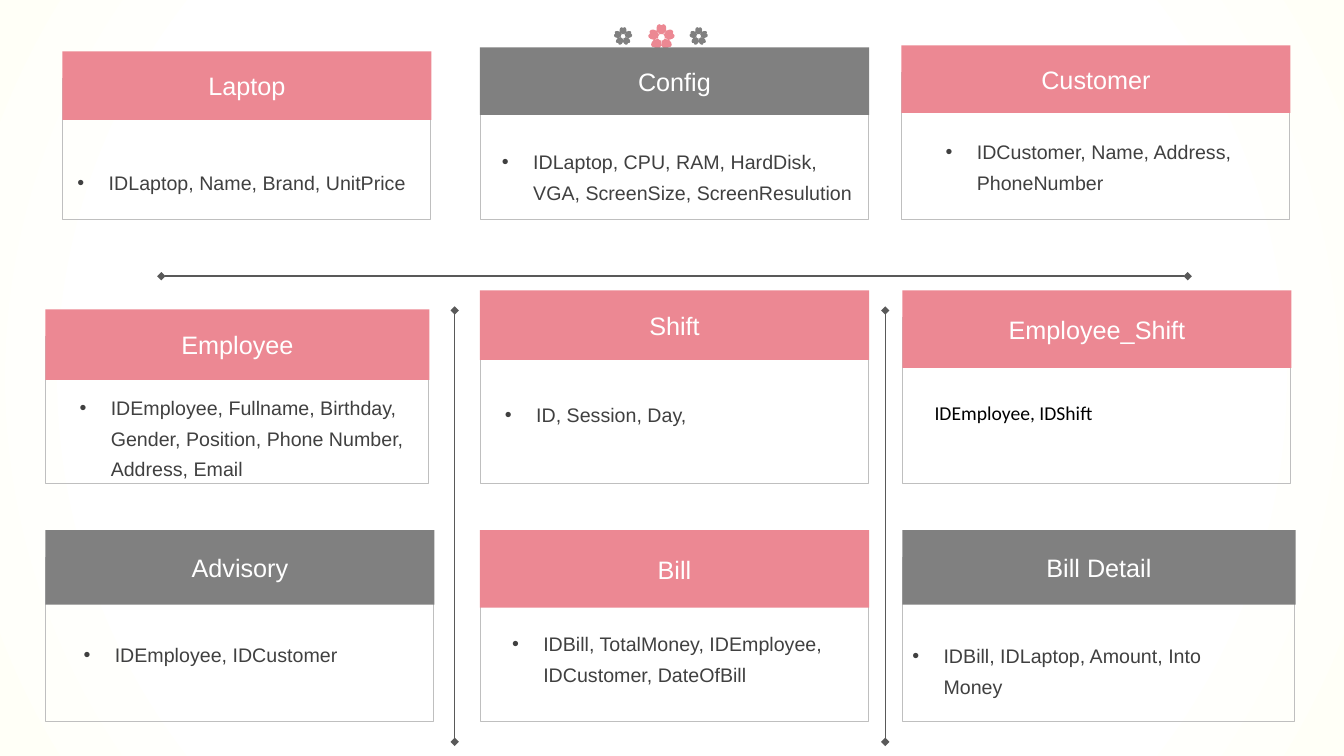
from dataclasses import dataclass
from math import cos, radians, sin

from lxml.etree import SubElement
from pptx import Presentation
from pptx.dml.color import RGBColor
from pptx.enum.shapes import MSO_CONNECTOR, MSO_SHAPE
from pptx.enum.text import MSO_ANCHOR, MSO_AUTO_SIZE, PP_ALIGN
from pptx.oxml import parse_xml
from pptx.oxml.ns import nsdecls, qn
from pptx.util import Inches, Pt


@dataclass(frozen=True)
class Theme:
    pink: str = "EC8893"
    gray: str = "808080"
    border: str = "BFBFBF"
    rule: str = "595959"
    text: str = "404040"
    black: str = "000000"
    white: str = "FFFFFF"
    cream: str = "FFFFF7"
    font: str = "Arial"
    plain_font: str = "Calibri"
    heading_size: int = 18
    body_size: int = 14


THEME = Theme()

# Grid of three columns by three rows, in inches
COLUMN_LEFTS = (0.45, 4.76, 8.95)
ROW_TOPS = (0.47, 2.88, 5.26)
ROW_BOTTOMS = (2.18, 4.8, 7.16)
BODY_OFFSET = 0.27


@dataclass(frozen=True)
class Card:
    """An entity; nudge shifts it in its cell, and text_at is relative to its corner."""
    column: int
    row: int
    name: str
    fields: str
    text_at: tuple
    header_height: float
    color: str = THEME.pink
    nudge: tuple = (0, 0)
    width: float = 3.86
    text_width: float = 3.52
    bulleted: bool = True


CARDS = (
    Card(0, 0, "Laptop", "IDLaptop, Name, Brand, UnitPrice",
         (0.05, 1.07), 0.68, nudge=(0.17, 0.04), width=3.66),
    Card(1, 0, "Config", "IDLaptop, CPU, RAM, HardDisk, VGA, ScreenSize, ScreenResulution",
         (0.12, 0.9), 0.67, THEME.gray, text_width=3.72),
    Card(2, 0, "Customer", "IDCustomer, Name, Address, PhoneNumber",
         (0.34, 0.82), 0.67, nudge=(-0.01, -0.02)),
    Card(0, 1, "Employee",
         "IDEmployee, Fullname, Birthday, Gender, Position, Phone Number, Address, Email",
         (0.24, 0.74), 0.7, nudge=(0, 0.19), width=3.81),
    Card(1, 1, "Shift", "ID, Session, Day,", (0.15, 1.0), 0.69),
    Card(2, 1, "Employee_Shift", "IDEmployee, IDShift",
         (0.22, 1.05), 0.77, text_width=3.05, bulleted=False),
    Card(0, 2, "Advisory", "IDEmployee, IDCustomer", (0.28, 1.0), 0.74, THEME.gray),
    Card(1, 2, "Bill", "IDBill, TotalMoney, IDEmployee, IDCustomer, DateOfBill",
         (0.22, 0.89), 0.77),
    Card(2, 2, "Bill Detail", "IDBill, IDLaptop, Amount, Into Money",
         (0, 1.01), 0.74, THEME.gray, width=3.9),
)

RULES = (
    ((1.6, 2.74), (11.78, 2.74)),
    ((4.51, 3.08), (4.51, 7.36)),
    ((8.78, 3.08), (8.78, 7.36)),
)

# Upward petal as shares of the flower's radius
PETAL = ((0, -0.25), (0.2, -0.22), (0.36, -0.48), (0.37, -0.75), (0.3, -0.93),
         (0.16, -1), (0, -0.92), (-0.16, -1), (-0.3, -0.93), (-0.37, -0.75),
         (-0.36, -0.48), (-0.2, -0.22))
FLOWERS = (
    (6.56, 0.37, 0.13, THEME.pink),
    (6.18, 0.36, 0.09, THEME.gray),
    (6.93, 0.36, 0.09, THEME.gray),
)


def rgb(color):
    return RGBColor.from_string(color)


def paint_background(slide):
    """White centre that fades to cream at the corners."""
    slide.background.fill.gradient()
    gradient = slide.element.xpath(".//p:bg//a:gradFill")[0]
    stops = ((0, THEME.white), (73, THEME.white), (100, THEME.cream))
    stop_xml = "".join(
        f'<a:gs pos="{share * 1000}"><a:srgbClr val="{color}"/></a:gs>'
        for share, color in stops)
    gradient.getparent().replace(gradient, parse_xml(
        f'<a:gradFill {nsdecls("a")} rotWithShape="1"><a:gsLst>{stop_xml}</a:gsLst>'
        '<a:path path="circle"><a:fillToRect l="50000" t="50000" r="50000" b="50000"/>'
        '</a:path></a:gradFill>'))


def fill_plain(shape, color):
    shape.shadow.inherit = False
    shape.fill.solid()
    shape.fill.fore_color.rgb = rgb(color)
    shape.line.fill.background()


def add_flower(slide, x, y, radius, color):
    builder = None
    for petal in range(5):
        angle = radians(72 * petal)
        points = [(Inches(x + radius * (across * cos(angle) - along * sin(angle))),
                   Inches(y + radius * (across * sin(angle) + along * cos(angle))))
                  for across, along in PETAL]
        if builder is None:
            builder = slide.shapes.build_freeform(*points[0])
        else:
            builder.move_to(*points[0])
        builder.add_line_segments(points[1:], close=True)
    fill_plain(builder.convert_to_shape(), color)


def add_rectangle(slide, left, top, width, height):
    return slide.shapes.add_shape(
        MSO_SHAPE.RECTANGLE, Inches(left), Inches(top), Inches(width), Inches(height))


def format_text(paragraph, font_name, size, color):
    for run in paragraph.runs:
        run.font.name = font_name
        run.font.size = Pt(size)
        run.font.color.rgb = rgb(color)


def add_bullet(paragraph):
    paragraph.line_spacing = 1.3
    properties = paragraph._p.get_or_add_pPr()
    properties.set("marL", str(Inches(0.31)))
    properties.set("indent", str(-Inches(0.31)))
    SubElement(properties, qn("a:buFont"), typeface=THEME.font)
    SubElement(properties, qn("a:buChar"), char="•")


def add_fields(slide, card, left, top):
    box = slide.shapes.add_textbox(
        Inches(left), Inches(top), Inches(card.text_width), Inches(0.38))
    frame = box.text_frame
    frame.word_wrap = True
    frame.auto_size = MSO_AUTO_SIZE.SHAPE_TO_FIT_TEXT
    frame.text = card.fields
    paragraph = frame.paragraphs[0]
    if card.bulleted:
        add_bullet(paragraph)
        format_text(paragraph, THEME.font, THEME.body_size, THEME.text)
    else:
        format_text(paragraph, THEME.plain_font, THEME.body_size, THEME.black)


def add_card(slide, card):
    left = COLUMN_LEFTS[card.column] + card.nudge[0]
    top = ROW_TOPS[card.row] + card.nudge[1]
    body_top = top + BODY_OFFSET
    body = add_rectangle(slide, left, body_top, card.width - 0.01,
                         ROW_BOTTOMS[card.row] - body_top)
    body.shadow.inherit = False
    body.fill.background()
    body.line.color.rgb = rgb(THEME.border)
    body.line.width = Pt(0.5)

    header = add_rectangle(slide, left, top, card.width, card.header_height)
    fill_plain(header, card.color)
    header.text_frame.text = card.name
    header.text_frame.vertical_anchor = MSO_ANCHOR.MIDDLE
    paragraph = header.text_frame.paragraphs[0]
    paragraph.alignment = PP_ALIGN.CENTER
    format_text(paragraph, THEME.font, THEME.heading_size, THEME.white)

    add_fields(slide, card, left + card.text_at[0], top + card.text_at[1])


def add_rule(slide, start, end):
    """Straight line with a diamond at each end."""
    rule = slide.shapes.add_connector(
        MSO_CONNECTOR.STRAIGHT, *map(Inches, start), *map(Inches, end))
    rule.line.color.rgb = rgb(THEME.rule)
    rule.line.width = Pt(1)
    line = rule.line._get_or_add_ln()
    for tag in ("a:headEnd", "a:tailEnd"):
        SubElement(line, qn(tag), type="diamond")
    SubElement(rule._element.spPr, qn("a:effectLst"))


def main():
    presentation = Presentation()
    presentation.slide_width = Inches(13.33)
    presentation.slide_height = Inches(7.5)
    slide = presentation.slides.add_slide(presentation.slide_layouts.get_by_name("Blank"))
    paint_background(slide)
    for flower in FLOWERS:
        add_flower(slide, *flower)
    for card in CARDS:
        add_card(slide, card)
    for start, end in RULES:
        add_rule(slide, start, end)
    presentation.save("out.pptx")


if __name__ == "__main__":
    main()
